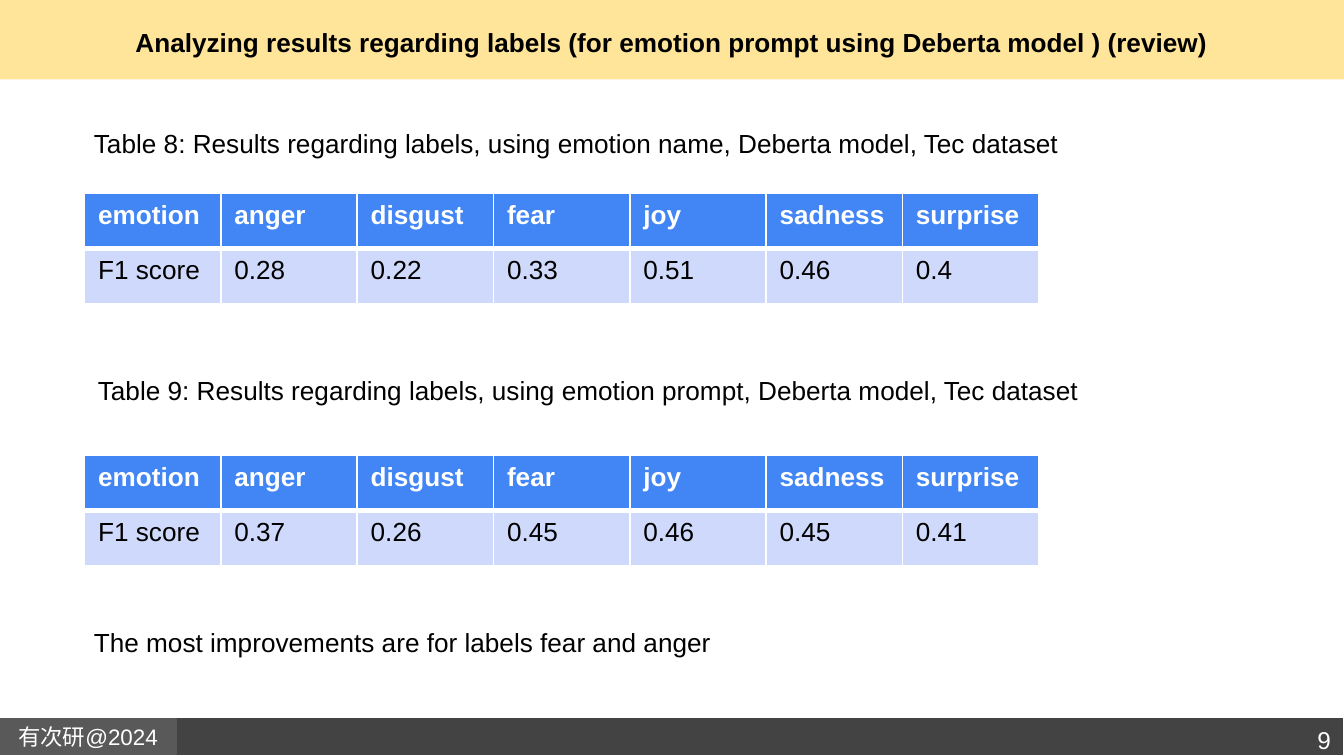
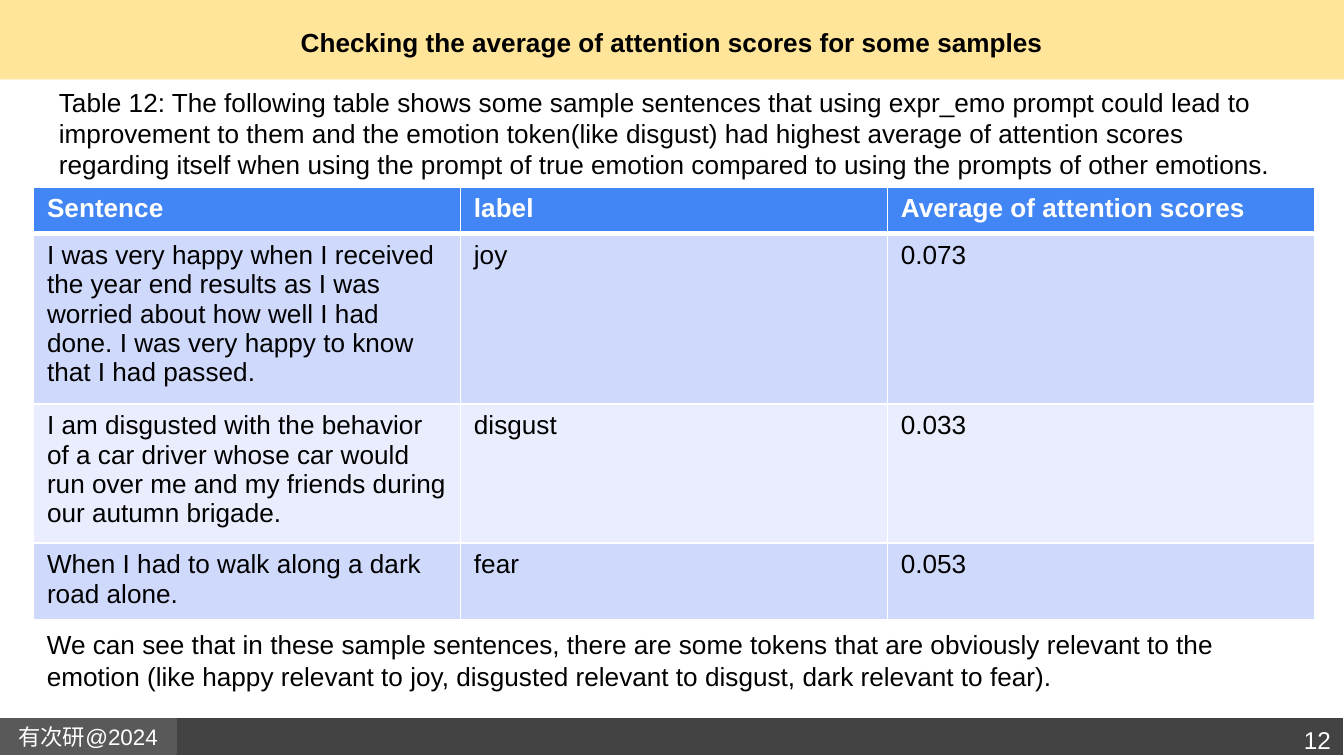
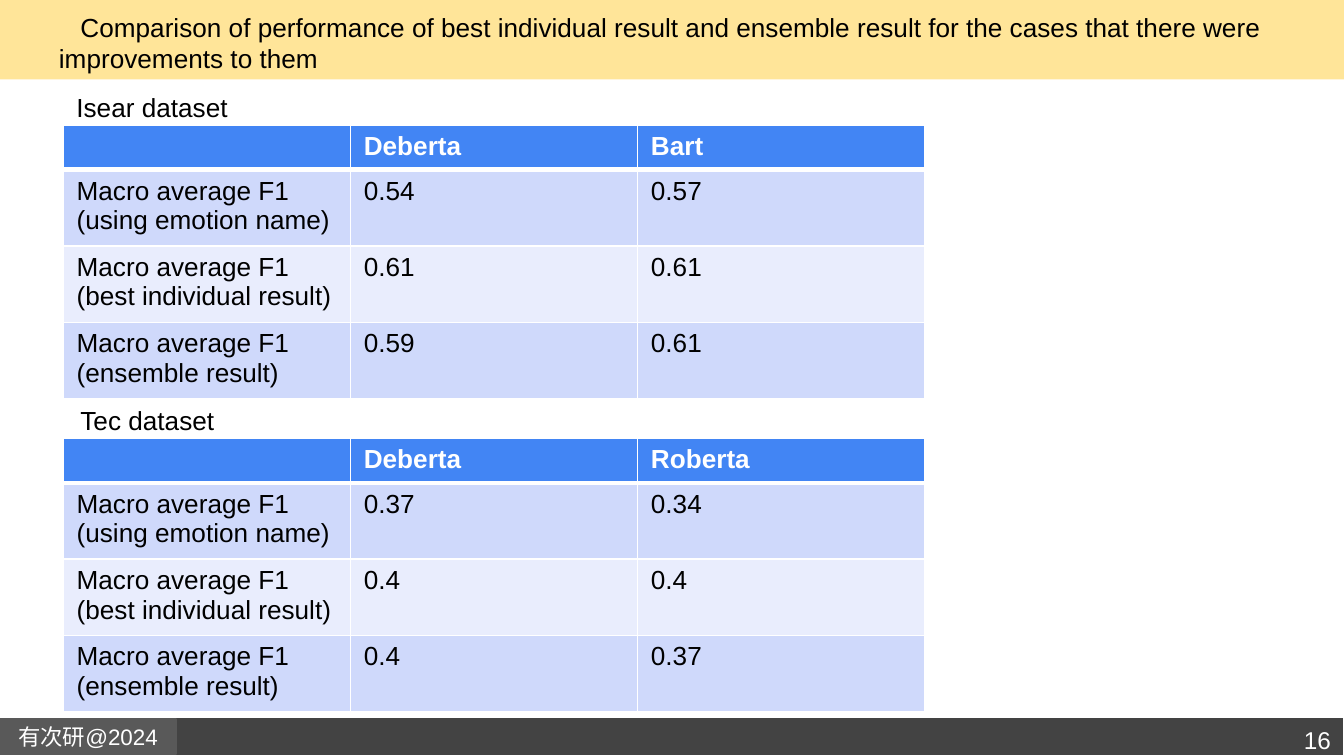
from dataclasses import dataclass

from lxml.etree import SubElement
from pptx import Presentation
from pptx.dml.color import RGBColor
from pptx.enum.shapes import MSO_SHAPE
from pptx.enum.text import MSO_ANCHOR, MSO_AUTO_SIZE, PP_ALIGN
from pptx.oxml.ns import qn
from pptx.shapes.autoshape import Shape
from pptx.slide import Slide
from pptx.table import _Cell
from pptx.text.text import TextFrame, _Paragraph
from pptx.util import Inches, Pt

COLORS = {
    "title_band": "FFE599",
    "footer_band": "434343",
    "footer_tag": "595959",
    "header": "4285F4",
    "odd_row": "CFD9FB",
    "even_row": "E9EDFD",
    "white": "FFFFFF",
    "black": "000000",
}
FONT = "Arial"
TEXT_SIZE = 14
SLIDE_WIDTH = 10
SLIDE_HEIGHT = SLIDE_WIDTH * 9 / 16


@dataclass
class Box:
    left: float
    top: float
    width: float
    height: float

    def lengths(self) -> tuple:
        return tuple(Inches(n) for n in (self.left, self.top, self.width, self.height))


@dataclass
class Caption:
    text: str
    box: Box
    wrap: bool = True


@dataclass
class ScoreTable:
    box: Box
    row_heights: list[float]
    rows: list[list[str]]


@dataclass
class Page:
    number: int
    title: str
    tables: list[ScoreTable]
    captions: list[Caption]
    centred_title: bool = True


def color(name: str) -> RGBColor:
    return RGBColor.from_string(COLORS[name])


def style(paragraph: _Paragraph, color_name: str, size: float = TEXT_SIZE,
          bold: bool = False) -> None:
    font = paragraph.font
    font.name, font.size, font.bold = FONT, Pt(size), bold
    font.color.rgb = color(color_name)


def set_insets(frame: TextFrame, inset: float) -> None:
    frame.margin_left = frame.margin_right = Inches(inset)
    frame.margin_top = frame.margin_bottom = Inches(inset)


# Shared parts: bands, footer, title
def add_band(slide: Slide, box: Box, fill: str, line: str | None = None) -> Shape:
    band = slide.shapes.add_shape(MSO_SHAPE.RECTANGLE, *box.lengths())
    band.shadow.inherit = False
    band.fill.solid()
    band.fill.fore_color.rgb = color(fill)
    if line:
        band.line.color.rgb = color(line)
        band.line.width = Pt(0.75)
    else:
        band.line.fill.background()
    return band


def add_text(slide: Slide, text: str, box: Box) -> TextFrame:
    frame = slide.shapes.add_textbox(*box.lengths()).text_frame
    frame.word_wrap = True
    frame.text = text
    style(frame.paragraphs[0], "black")
    return frame


def add_frame(slide: Slide, page: Page) -> None:
    add_band(slide, Box(0, 0, SLIDE_WIDTH, 0.59), "title_band")
    add_band(slide, Box(0, 5.34, SLIDE_WIDTH, 0.28), "footer_band", "white")
    tag = add_band(slide, Box(0, 5.35, 1.31, 0.26), "footer_tag", "footer_tag")
    tag.text_frame.text = "有次研@2024"
    tag.text_frame.vertical_anchor = MSO_ANCHOR.MIDDLE
    set_insets(tag.text_frame, 0.1)
    tag_text = tag.text_frame.paragraphs[0]
    tag_text.alignment = PP_ALIGN.CENTER
    style(tag_text, "white", 12)

    title = add_text(slide, page.title, Box(0.34, 0, 9.32, 0.63))
    title.vertical_anchor = MSO_ANCHOR.MIDDLE
    set_insets(title, 0.1)
    title_text = title.paragraphs[0]
    style(title_text, "black", bold=page.centred_title)
    if page.centred_title:
        title_text.alignment = PP_ALIGN.CENTER
    else:
        title_text._p.get_or_add_pPr().set("indent", str(Inches(0.16)))

    number = add_text(slide, str(page.number), Box(8.95, 5.3, 1.05, 0.37))
    set_insets(number, 0.1)
    number.paragraphs[0].alignment = PP_ALIGN.RIGHT
    style(number.paragraphs[0], "white", 13)


def add_caption(slide: Slide, caption: Caption) -> None:
    frame = add_text(slide, caption.text, caption.box)
    frame.word_wrap = caption.wrap
    frame.auto_size = MSO_AUTO_SIZE.SHAPE_TO_FIT_TEXT


# Tables
def set_borders(cell: _Cell, bottom: float) -> None:
    properties = cell._tc.get_or_add_tcPr()
    sides = {"lnL": 1, "lnR": 1, "lnT": 1, "lnB": bottom}
    for position, (side, width) in enumerate(sides.items()):
        line = SubElement(properties, qn(f"a:{side}"), w=str(Pt(width)))
        fill = SubElement(line, qn("a:solidFill"))
        SubElement(fill, qn("a:srgbClr"), val=COLORS["white"])
        properties.insert(position, line)


def add_score_table(slide: Slide, spec: ScoreTable) -> None:
    column_count = len(spec.rows[0])
    shape = slide.shapes.add_table(len(spec.rows), column_count, *spec.box.lengths())
    table = shape.table
    for row_index, (texts, height) in enumerate(zip(spec.rows, spec.row_heights)):
        table.rows[row_index].height = Inches(height)
        is_header = row_index == 0
        fill = "header" if is_header else "odd_row" if row_index % 2 else "even_row"
        for column_index, text in enumerate(texts):
            cell = table.cell(row_index, column_index)
            cell.text = text
            cell.fill.solid()
            cell.fill.fore_color.rgb = color(fill)
            style(cell.text_frame.paragraphs[0], "white" if is_header else "black",
                  bold=is_header)
            set_borders(cell, 3 if is_header else 1)
    shape.height = Inches(spec.box.height)


# Content
def label_table(top: float, scores: list[str]) -> ScoreTable:
    emotions = ["emotion", "anger", "disgust", "fear", "joy", "sadness", "surprise"]
    return ScoreTable(Box(0.63, top, 7.1, 0.81), [0.41, 0.41],
                      [emotions, ["F1 score", *scores]])


def dataset_table(top: float, row_heights: list[float], models: list[str],
                  scores: list[list[str]]) -> ScoreTable:
    cases = ["using emotion name", "best individual result", "ensemble result"]
    rows = [[f"Macro average F1 ({case})", *pair] for case, pair in zip(cases, scores)]
    return ScoreTable(Box(0.47, top, 6.41, 2.03), row_heights, [["", *models], *rows])


PAGES = [
    Page(
        9,
        "Analyzing results regarding labels (for emotion prompt using Deberta model ) (review)",
        [
            label_table(1.44, ["0.28", "0.22", "0.33", "0.51", "0.46", "0.4"]),
            label_table(3.39, ["0.37", "0.26", "0.45", "0.46", "0.45", "0.41"]),
        ],
        [
            Caption("Table 8: Results regarding labels, using emotion name, Deberta model, "
                    "Tec dataset", Box(0.6, 0.9, 7.51, 0.34), wrap=False),
            Caption("Table 9: Results regarding labels, using emotion prompt, Deberta model, "
                    "Tec dataset", Box(0.63, 2.74, 7.63, 0.34), wrap=False),
            Caption("The most improvements are for labels fear and anger",
                    Box(0.6, 4.61, 4.81, 0.34), wrap=False),
        ],
    ),
    Page(
        12,
        "Checking the average of attention scores for some samples",
        [
            ScoreTable(Box(0.25, 1.39, 9.53, 3.22), [0.35, 1.11, 0.9, 0.5], [
                ["Sentence", "label", "Average of attention scores"],
                ["I was very happy when I received the year end results as I was worried "
                 "about how well I had done. I was very happy to know that I had passed.",
                 "joy", "0.073"],
                ["I am disgusted with the behavior of a car driver whose car would run over "
                 "me and my friends during our autumn brigade.", "disgust", "0.033"],
                ["When I had to walk along a dark road alone.", "fear", "0.053"],
            ]),
        ],
        [
            Caption("Table 12: The following table shows some sample sentences that using "
                    "expr_emo prompt could lead to improvement to them and the emotion "
                    "token(like disgust) had highest average of attention scores regarding "
                    "itself when using the prompt of true emotion compared to using the "
                    "prompts of other emotions.", Box(0.34, 0.59, 9.23, 0.81)),
            Caption("We can see that in these sample sentences, there are some tokens that "
                    "are obviously relevant to the emotion (like happy relevant to joy, "
                    "disgusted relevant to disgust, dark relevant to fear).",
                    Box(0.25, 4.63, 9.07, 0.57)),
        ],
    ),
    Page(
        16,
        "Comparison of performance of best individual result and ensemble result for the "
        "cases that there were improvements to them",
        [
            dataset_table(0.93, [0.26, 0.45, 0.45, 0.45], ["Deberta", "Bart"],
                          [["0.54", "0.57"], ["0.61", "0.61"], ["0.59", "0.61"]]),
            dataset_table(3.26, [0.2, 0.34, 0.34, 0.34], ["Deberta", "Roberta"],
                          [["0.37", "0.34"], ["0.4", "0.4"], ["0.4", "0.37"]]),
        ],
        [
            Caption("Isear dataset", Box(0.47, 0.63, 1.61, 0.34)),
            Caption("Tec dataset", Box(0.5, 2.96, 1.56, 0.34)),
        ],
        centred_title=False,
    ),
]


def main() -> None:
    presentation = Presentation()
    presentation.slide_width = Inches(SLIDE_WIDTH)
    presentation.slide_height = Inches(SLIDE_HEIGHT)
    for page in PAGES:
        slide = presentation.slides.add_slide(presentation.slide_layouts[6])
        add_frame(slide, page)
        for table in page.tables:
            add_score_table(slide, table)
        for caption in page.captions:
            add_caption(slide, caption)
    presentation.save("out.pptx")


if __name__ == "__main__":
    main()
